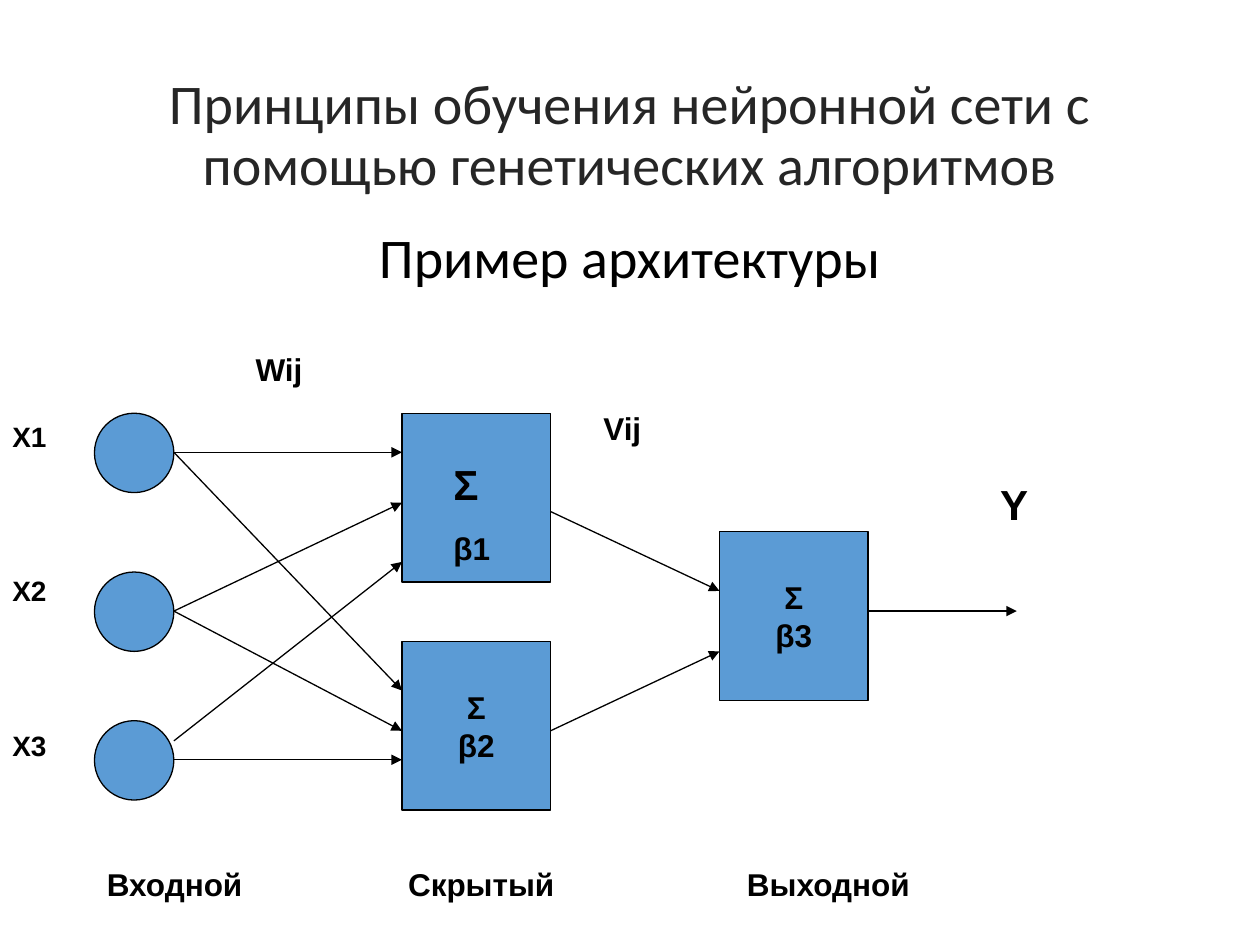
from lxml.etree import SubElement
from pptx import Presentation
from pptx.dml.color import RGBColor
from pptx.enum.shapes import MSO_CONNECTOR, MSO_SHAPE
from pptx.enum.text import MSO_ANCHOR, MSO_AUTO_SIZE, PP_ALIGN
from pptx.oxml.ns import qn
from pptx.util import Inches, Pt

BLUE, BLACK, DARK = "5B9BD5", "000000", "262626"


def color(code):
    """Turn a hex string into a colour."""
    return RGBColor.from_string(code)


def place(shape, box):
    """Move a shape to a box given in inches."""
    shape.left, shape.top, shape.width, shape.height = map(Inches, box)


def write(shape, lines, sizes=(18,), font="Arial", ink=BLACK, bold=True,
          align=PP_ALIGN.LEFT, anchor=MSO_ANCHOR.TOP, wrap=True,
          gap=0, spacing=1.0, tabs=()):
    """Fill a shape with formatted paragraphs."""
    frame = shape.text_frame
    frame.auto_size = MSO_AUTO_SIZE.NONE
    frame.word_wrap = wrap
    frame.vertical_anchor = anchor
    for index, line in enumerate(lines):
        para = frame.add_paragraph() if index else frame.paragraphs[0]
        para.add_run().text = line
        para.alignment = align
        para.line_spacing = spacing
        para.space_before = Pt(gap if index else 0)
        if tabs:
            stops = SubElement(para._p.get_or_add_pPr(), qn("a:tabLst"))
            for stop in tabs:
                SubElement(stops, qn("a:tab"), pos=str(Inches(stop)), algn="l")
        para.font.size = Pt(sizes[min(index, len(sizes) - 1)])
        para.font.name = font
        para.font.bold = bold
        para.font.color.rgb = color(ink)


def label(slide, box, lines, **style):
    """Add a text box."""
    write(slide.shapes.add_textbox(*map(Inches, box)), lines, **style)


def node(slide, kind, box):
    """Add a blue outlined network node."""
    shape = slide.shapes.add_shape(kind, *map(Inches, box))
    shape.shadow.inherit = False
    shape.fill.solid()
    shape.fill.fore_color.rgb = color(BLUE)
    shape.line.color.rgb = color(BLACK)
    shape.line.width = Pt(0.75)
    return shape


def arrow(slide, start, end):
    """Draw a thin arrow between two points."""
    link = slide.shapes.add_connector(
        MSO_CONNECTOR.STRAIGHT, *map(Inches, start + end))
    link.line.color.rgb = color(BLACK)
    link.line.width = Pt(0.75)
    SubElement(link.line._get_or_add_ln(), qn("a:tailEnd"), type="triangle")
    SubElement(link._element.spPr, qn("a:effectLst"))


def heading(slide, box):
    """Place the title and subtitle at the top of the box."""
    left, top, width, height = box
    title, sub = slide.shapes.title, slide.placeholders[1]
    place(title, (left + 0.75, top + 0.28, width - 1.5, 1.61))
    place(sub, (left + 0.2, top + 1.78, width - 0.4, height - 1.99))
    style = dict(sizes=(32,), font="Calibri", bold=False,
                 align=PP_ALIGN.CENTER, spacing=0.9)
    write(title, ["Принципы обучения нейронной сети с помощью генетических алгоритмов"],
          ink=DARK, anchor=MSO_ANCHOR.MIDDLE, **style)
    write(sub, ["Пример архитектуры"], **style)


def network(slide, box):
    """Draw the nodes and arrows inside the box."""
    left, top, width, height = box
    dot, wide, tall = 0.63, 1.18, 1.34
    hidden, output = left + 2.44, left + 4.96
    for drop in (0, 1.26, 2.44):
        node(slide, MSO_SHAPE.OVAL, (left, top + drop, dot, dot))

    squares = ((hidden, 0, None), (hidden, 1.81, "β2"), (output, 0.94, "β3"))
    for across, drop, bias in squares:
        square = node(slide, MSO_SHAPE.RECTANGLE, (across, top + drop, wide, tall))
        if bias:
            write(square, ["Σ", bias], align=PP_ALIGN.CENTER,
                  anchor=MSO_ANCHOR.MIDDLE, wrap=False)
    label(slide, (hidden + 0.31, top + 0.31, 0.55, 0.96), ["Σ", "β1"],
          sizes=(24, 18), gap=11.2)

    layers = (
        (left + dot, hidden, ((0.31, 0.31), (0.31, 2.2), (1.57, 0.71),
                              (1.57, 2.52), (2.6, 1.18), (2.75, 2.75))),
        (hidden + wide, output, ((0.78, 1.41), (2.52, 1.89))),
        (output + wide, left + width, ((1.57, 1.57),)),
    )
    for start, end, drops in layers:
        for first, last in drops:
            arrow(slide, (start, top + first), (end, top + last))


def captions(slide, box):
    """Name the inputs, weights, output and layers around the network."""
    left, top, width, height = box
    label(slide, (left - 0.75, top, 0.51, 3.61), ["Х1", "Х2", "Х3"],
          sizes=(16,), gap=69)
    label(slide, (left + 1.18, top - 0.55, 0.63, 0.4), ["Wij"])
    label(slide, (left + 3.94, top - 0.08, 0.63, 0.4), ["Vij"])
    label(slide, (left + 7.09, top + 0.47, 0.94, 0.5), ["Y"], sizes=(24,))
    label(slide, (left, top + height + 0.39, 8.35, 0.4),
          ["Входной\tСкрытый\tВыходной"], tabs=(2.39, 5.08))


def main():
    """Build and save the slide."""
    deck = Presentation()
    deck.slide_width, deck.slide_height = Inches(10), Inches(7.5)
    slide = deck.slides.add_slide(deck.slide_layouts[0])
    graph = (0.75, 3.28, 7.32, 3.15)
    heading(slide, (0, 0, 10, 7.5))
    network(slide, graph)
    captions(slide, graph)
    deck.save("out.pptx")


if __name__ == "__main__":
    main()
